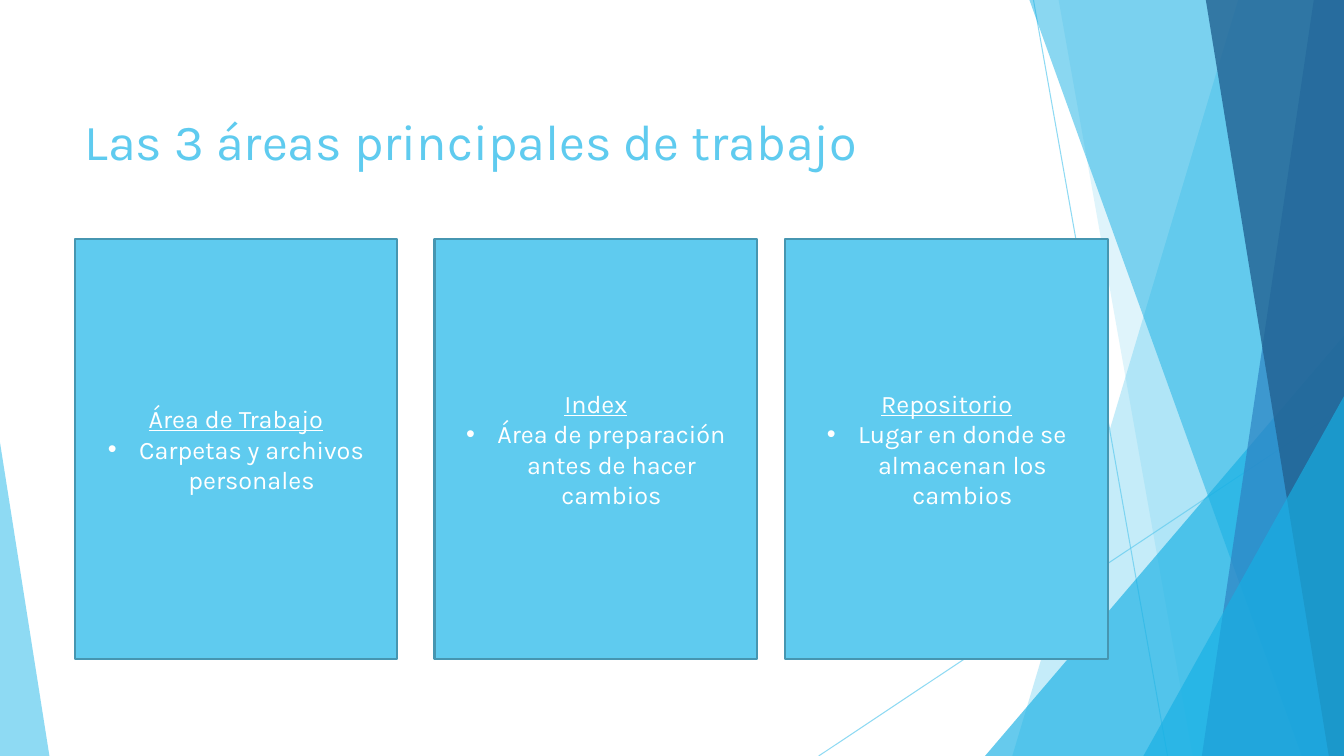
from lxml.etree import SubElement as Sub
from pptx import Presentation
from pptx.dml.color import RGBColor as RGB
from pptx.enum.shapes import MSO_CONNECTOR as LINK, MSO_SHAPE as KIND
from pptx.enum.text import MSO_ANCHOR as ANCHOR, MSO_AUTO_SIZE as AUTO, PP_ALIGN as ALIGN
from pptx.oxml.ns import qn
from pptx.util import Inches, Pt

WIDE, HIGH = 13.33, 7.5
SKY, CYAN, BLUE, NAVY = "5FCBEF", "17B0E4", "2E83C3", "226292"
EDGE, WHITE = "4696B1", "FFFFFF"


def paint(form, tint, alpha=100):
    """Give a fill or line a solid colour with an opacity in percent."""
    form.solid()
    form.fore_color.rgb = RGB.from_string(tint)
    if alpha < 100:
        node = form._xPr.find(".//" + qn("a:srgbClr"))
        Sub(node, qn("a:alpha"), val=str(alpha * 1000))


def style(para, size, tint):
    para.font.name = "Karla"
    para.font.size = Pt(size)
    paint(para.font.fill, tint)


deck = Presentation()
deck.slide_width, deck.slide_height = Inches(WIDE), Inches(HIGH)
slide = deck.slides.add_slide(deck.slide_layouts[5])
shapes = slide.shapes

# Thin lines behind the facets
for x1, y1, x2, y2 in [(10.25, 0, 11.58, HIGH), (WIDE, 4.03, 8.12, HIGH)]:
    line = shapes.add_connector(LINK.STRAIGHT, *map(Inches, (x1, y1, x2, y2)))
    line.line.width = Pt(0.75)
    paint(line.line.fill, SKY, 70)
    Sub(line._element.spPr, qn("a:effectLst"))

# Facets: bands (top x, foot x) reach the right edge,
# triangles (left, top, width, tip) reach the bottom edge
facets = [
    ((12.28, 10.04), SKY, 36),
    ((10.5, 11.83), SKY, 20),
    ((9.77, 3.33, 3.56, 1), CYAN, 66),
    ((10.21, 12.91), CYAN, 50),
    ((13.03, 11.92), BLUE, 70),
    ((11.96, 13.18), NAVY, 80),
    ((11.34, 3.93, 1.99, 1), CYAN, 66),
    ((0, 4.39, 0.49, 0), SKY, 70),
]
for form, tint, alpha in facets:
    if len(form) == 2:
        top, foot = form
        path = shapes.build_freeform(Inches(top), 0)
        ends = [(WIDE, 0), (WIDE, HIGH), (foot, HIGH)]
        path.add_line_segments([(Inches(x), Inches(y)) for x, y in ends])
        facet = path.convert_to_shape()
    else:
        left, top, width, tip = form
        facet = shapes.add_shape(KIND.ISOSCELES_TRIANGLE,
                                 *map(Inches, (left, top, width, HIGH - top)))
        facet.adjustments[0] = tip
    facet.shadow.inherit = False
    paint(facet.fill, tint, alpha)
    facet.line.fill.background()

# Title
title = shapes.title
title.left, title.top, title.width, title.height = map(Inches, (0.74, 0.67, 8.69, 1.44))
title.text = "Las 3 áreas principales de trabajo"
frame = title.text_frame
frame.auto_size = AUTO.NONE
frame.vertical_anchor = ANCHOR.MIDDLE
frame.paragraphs[0].alignment = ALIGN.LEFT
style(frame.paragraphs[0], 36, SKY)

# Cards
cards = [
    (0.74, "Área de Trabajo", "Carpetas y archivos personales"),
    (4.31, "Index", "Área de preparación antes de hacer cambios"),
    (7.79, "Repositorio", "Lugar en donde se almacenan los cambios"),
]
for left, name, note in cards:
    card = shapes.add_shape(KIND.RECTANGLE, *map(Inches, (left, 2.37, 3.2, 4.17)))
    card.shadow.inherit = False
    paint(card.fill, SKY)
    paint(card.line.fill, EDGE)
    card.line.width = Pt(1.5)
    frame = card.text_frame
    frame.word_wrap = True
    frame.vertical_anchor = ANCHOR.MIDDLE
    head, item = frame.paragraphs[0], frame.add_paragraph()
    for para, text in ((head, name), (item, note)):
        para.text = text
        para.alignment = ALIGN.CENTER
        style(para, 18, WHITE)
    head.font.underline = True
    # Bullet with a hanging indent
    props = item._p.get_or_add_pPr()
    props.set("marL", str(Inches(0.31)))
    props.set("indent", str(Inches(-0.31)))
    mark = [Sub(props, qn("a:buFont"), typeface="Arial"), Sub(props, qn("a:buChar"), char="•")]
    props[:] = mark + [node for node in props if node not in mark]

deck.save("out.pptx")
